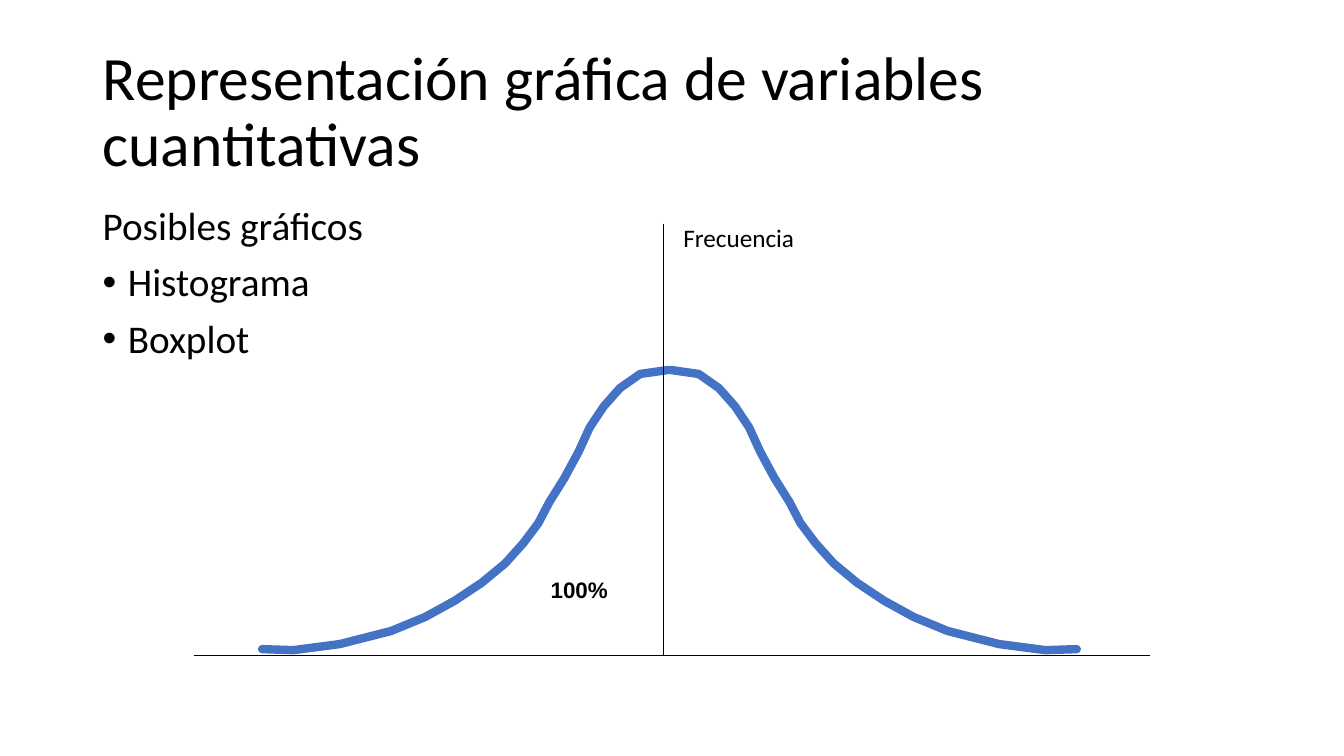
from pptx import Presentation
from pptx.dml.color import RGBColor
from pptx.enum.shapes import MSO_CONNECTOR
from pptx.enum.text import MSO_ANCHOR, MSO_AUTO_SIZE, PP_ALIGN
from pptx.oxml.ns import qn
from pptx.oxml.xmlchemy import OxmlElement
from pptx.util import Pt

PX = 9144
SIZE = (1333, 750)
THEME = {
    "ink": RGBColor(0, 0, 0),
    "curve": RGBColor(0x44, 0x72, 0xC4),
    "title": {"name": "Calibri", "size": Pt(44)},
    "body": {"name": "Calibri", "size": Pt(28)},
    "label": {"name": "Calibri", "size": Pt(18)},
    "share": {"name": "Arial", "size": Pt(16), "bold": True},
    "thin": Pt(1),
    "thick": Pt(6),
}
TIGHT = {"line_spacing": 0.9}
LIST = {"line_spacing": 0.9, "space_before": Pt(10)}
MID = {"line_spacing": 0.9, "alignment": PP_ALIGN.CENTER}
FIXED = {"word_wrap": True, "auto_size": MSO_AUTO_SIZE.NONE}
GROW = {"word_wrap": False, "auto_size": MSO_AUTO_SIZE.SHAPE_TO_FIT_TEXT}

HEAD = [
    ((92, 40, 1150, 145), "title", {**FIXED, "vertical_anchor": MSO_ANCHOR.MIDDLE},
     TIGHT, [("Representación gráfica de variables cuantitativas", False)]),
    ((92, 200, 1150, 476), "body", FIXED, LIST,
     [("Posibles gráficos", False), ("Histograma", True), ("Boxplot", True)]),
]
LABELS = [
    ((536, 570, 77, 34), "share", GROW, MID, [("100%", False)]),
    ((668, 216, 131, 40), "label", GROW, {}, [("Frecuencia", False)]),
]
AXES = [(658, 222, 658, 650), (192, 650, 1141, 650)]
CENTER = 664
HALF = [
    (260, 644), (291, 645), (337, 639), (388, 626), (422, 612), (451, 596),
    (478, 578), (501, 559), (519, 539), (534, 519), (545, 498), (560, 474),
    (574, 448), (585, 424), (599, 403), (615, 385), (635, 371), (663, 367),
]


def emu(nums):
    return [n * PX for n in nums]


def apply(item, vals):
    for key, val in vals.items():
        setattr(item, key, val)


def bullet(para):
    props = para._p.get_or_add_pPr()
    for key, val in {"marL": 25 * PX, "indent": -25 * PX}.items():
        props.set(key, str(val))
    for tag, key, val in [("a:buFont", "typeface", "Arial"), ("a:buChar", "char", "•")]:
        node = OxmlElement(tag)
        node.set(key, val)
        props.append(node)


def add_text(shapes, box, style, frame, form, lines):
    text = shapes.add_textbox(*emu(box)).text_frame
    apply(text, frame)
    for num, (line, mark) in enumerate(lines):
        para = text.add_paragraph() if num else text.paragraphs[0]
        apply(para, form)
        run = para.add_run()
        run.text = line
        apply(run.font, THEME[style])
        run.font.color.rgb = THEME["ink"]
        if mark:
            bullet(para)


def add_curve(shapes, points):
    pen = shapes.build_freeform(*points[0], scale=PX)
    pen.add_line_segments(points[1:], close=False)
    curve = pen.convert_to_shape()
    curve.shadow.inherit = False
    curve.fill.background()
    curve.line.color.rgb = THEME["curve"]
    curve.line.width = THEME["thick"]
    stroke = curve.element.spPr.find(qn("a:ln"))
    stroke.set("cap", "rnd")
    stroke.append(OxmlElement("a:round"))


def add_axis(shapes, ends):
    axis = shapes.add_connector(MSO_CONNECTOR.STRAIGHT, *emu(ends))
    axis.line.color.rgb = THEME["ink"]
    axis.line.width = THEME["thin"]
    axis.element.spPr.append(OxmlElement("a:effectLst"))


def main():
    deck = Presentation()
    deck.slide_width, deck.slide_height = emu(SIZE)
    shapes = deck.slides.add_slide(deck.slide_layouts[6]).shapes
    for item in HEAD:
        add_text(shapes, *item)
    bell = shapes.add_group_shape().shapes
    for half in (HALF, [(2 * CENTER - x, y) for x, y in HALF]):
        add_curve(bell, half)
    for ends in AXES:
        add_axis(shapes, ends)
    for item in LABELS:
        add_text(shapes, *item)
    deck.save("out.pptx")


if __name__ == "__main__":
    main()
